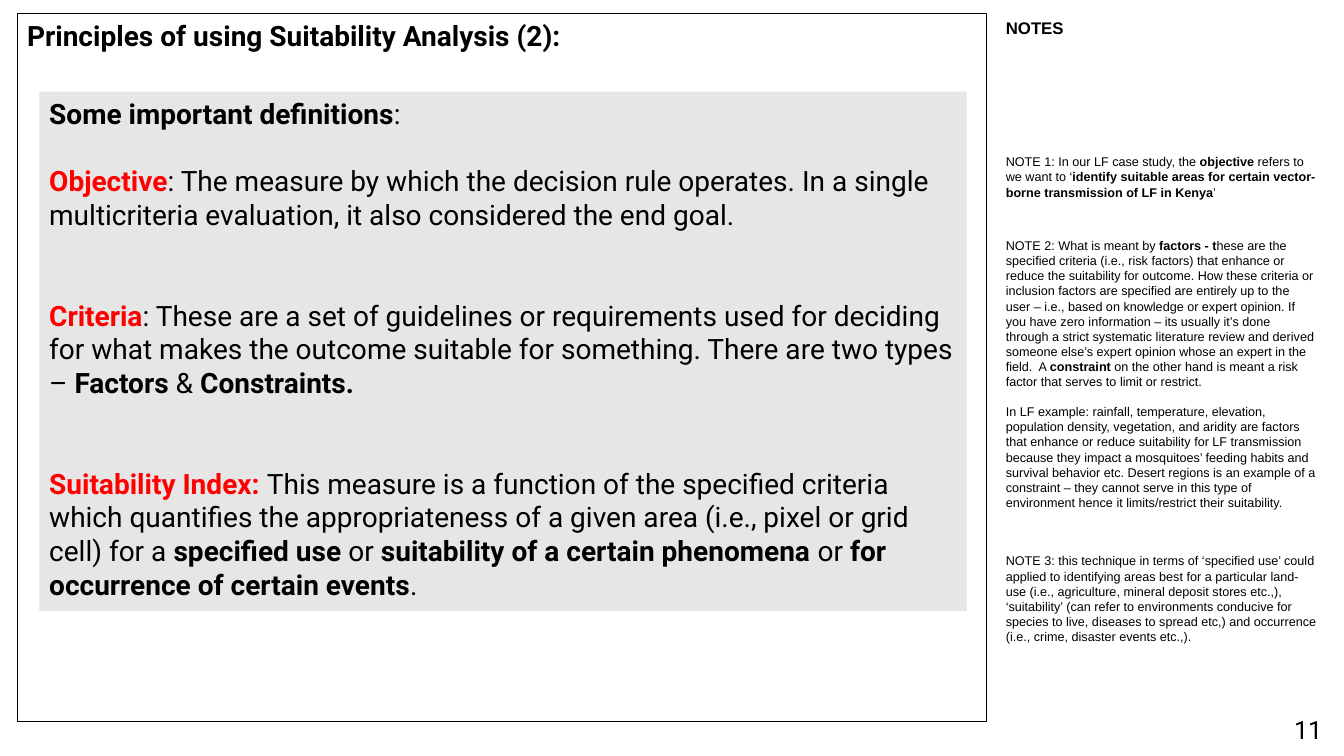
from pptx import Presentation
from pptx.dml.color import RGBColor
from pptx.enum.shapes import MSO_SHAPE
from pptx.enum.text import MSO_ANCHOR, PP_ALIGN
from pptx.util import Inches, Pt

RECT = MSO_SHAPE.RECTANGLE
TOP = MSO_ANCHOR.TOP
LEFT = PP_ALIGN.LEFT

# Grid: 160 columns by 90 rows
WIDTH, HEIGHT = Inches(13.33), Inches(7.5)
COLS, ROWS = 160, 90

# Text between bars is bold; a bold part that starts with "!" is red.
# Each paragraph is (space before in points, text).
TITLE = [(0, "|Principles of using Suitability Analysis (2):|")]
TERMS = [
    (0, "|Some important definitions|:"),
    (24, "|!Objective|: The measure by which the decision rule operates. In a "
         "single multicriteria evaluation, it also considered the end goal."),
    (48, "|!Criteria|: These are a set of guidelines or requirements used for "
         "deciding for what makes the outcome suitable for something. There "
         "are two types – |Factors| & |Constraints.|"),
    (48, "|!Suitability Index: |This measure is a function of the specified "
         "criteria which quantifies the appropriateness of a given area (i.e., "
         "pixel or grid cell) for a |specified use |or |suitability of a "
         "certain phenomena| or |for occurrence of certain events|."),
]

# Notes: top row, height in rows, paragraphs
NOTES = [
    (17.76, 6.72, [
        (0, "NOTE 1: In our LF case study, the |objective| refers to we want "
            "to ‘|identify suitable areas for certain vector-borne "
            "transmission of LF in Kenya|’")]),
    (27.72, 33.96, [
        (0, "NOTE 2: What is meant by |factors - t|hese are the specified "
            "criteria (i.e., risk factors) that enhance or reduce the "
            "suitability for outcome. How these criteria or inclusion factors "
            "are specified are entirely up to the user – i.e., based on "
            "knowledge or expert opinion. If you have zero information – its "
            "usually it’s done through a strict systematic literature review "
            "and derived someone else’s expert opinion whose an expert in the "
            "field.  A |constraint| on the other hand is meant a risk factor "
            "that serves to limit or restrict."),
        (10.5, "In LF example: rainfall, temperature, elevation, population "
               "density, vegetation, and aridity are factors that enhance or "
               "reduce suitability for LF transmission because they impact a "
               "mosquitoes’ feeding habits and survival behavior etc. Desert "
               "regions is an example of a constraint – they cannot serve in "
               "this type of environment hence it limits/restrict their "
               "suitability.")]),
    (65.28, 12.12, [
        (0, "NOTE 3: this technique in terms of ‘specified use’ could applied "
            "to identifying areas best for a particular land-use (i.e., "
            "agriculture, mineral deposit stores etc.,), ‘suitability’ (can "
            "refer to environments conducive for species to live, diseases to "
            "spread etc,) and occurrence (i.e., crime, disaster events "
            "etc.,).")]),
]


def color(code):
    return RGBColor.from_string(code)


def write(shape, paras, size=20, font="Roboto", ink="000000", mark="FF0000"):
    frame = shape.text_frame
    frame.word_wrap = True
    frame.vertical_anchor = TOP
    for num, (gap, text) in enumerate(paras):
        para = frame.add_paragraph() if num else frame.paragraphs[0]
        para.alignment = LEFT
        para.space_before = Pt(gap)
        for part, words in enumerate(text.split("|")):
            if not words:
                continue
            run = para.add_run()
            run.text = words.removeprefix("!")
            run.font.name = font
            run.font.size = Pt(size)
            run.font.bold = part % 2 == 1
            run.font.color.rgb = color(mark if words[0] == "!" else ink)


class Page:
    side, text_font, note_font = 118.56, "Roboto", "Arial"

    def __init__(self, deck):
        self.slide = deck.slides.add_slide(deck.slide_layouts[6])

    def area(self, col, row, cols, rows):
        return (round(WIDTH * col / COLS), round(HEIGHT * row / ROWS),
                round(WIDTH * cols / COLS), round(HEIGHT * rows / ROWS))

    def panel(self, area, paras, fill=None, line=None):
        shape = self.slide.shapes.add_shape(RECT, *self.area(*area))
        shape.shadow.inherit = False
        if fill:
            shape.fill.solid()
            shape.fill.fore_color.rgb = color(fill)
        else:
            shape.fill.background()
        if line:
            shape.line.color.rgb = color(line)
            shape.line.width = Pt(0.75)
        else:
            shape.line.fill.background()
        write(shape, paras, font=self.text_font)

    def label(self, area, paras, **style):
        write(self.slide.shapes.add_textbox(*self.area(*area)), paras, **style)

    def note(self, row, rows, paras, size=9):
        self.label((self.side, row, 39.36, rows), paras,
                   size=size, font=self.note_font)


def main():
    deck = Presentation()
    deck.slide_width, deck.slide_height = WIDTH, HEIGHT
    page = Page(deck)

    # Framed title and definitions
    page.panel((2.04, 1.56, 115.44, 84.36), TITLE, line="000000")
    page.panel((4.68, 10.92, 110.4, 61.8), TERMS, fill="E7E6E6")

    # Side notes
    page.note(1.56, 3.6, [(0, "|NOTES|")], size=12)
    for row, rows, paras in NOTES:
        page.note(row, rows, paras)

    # Page number
    page.label((152.88, 84.48, 7.08, 1.92), [(0, "11")], size=18)

    deck.save("out.pptx")


if __name__ == "__main__":
    main()
